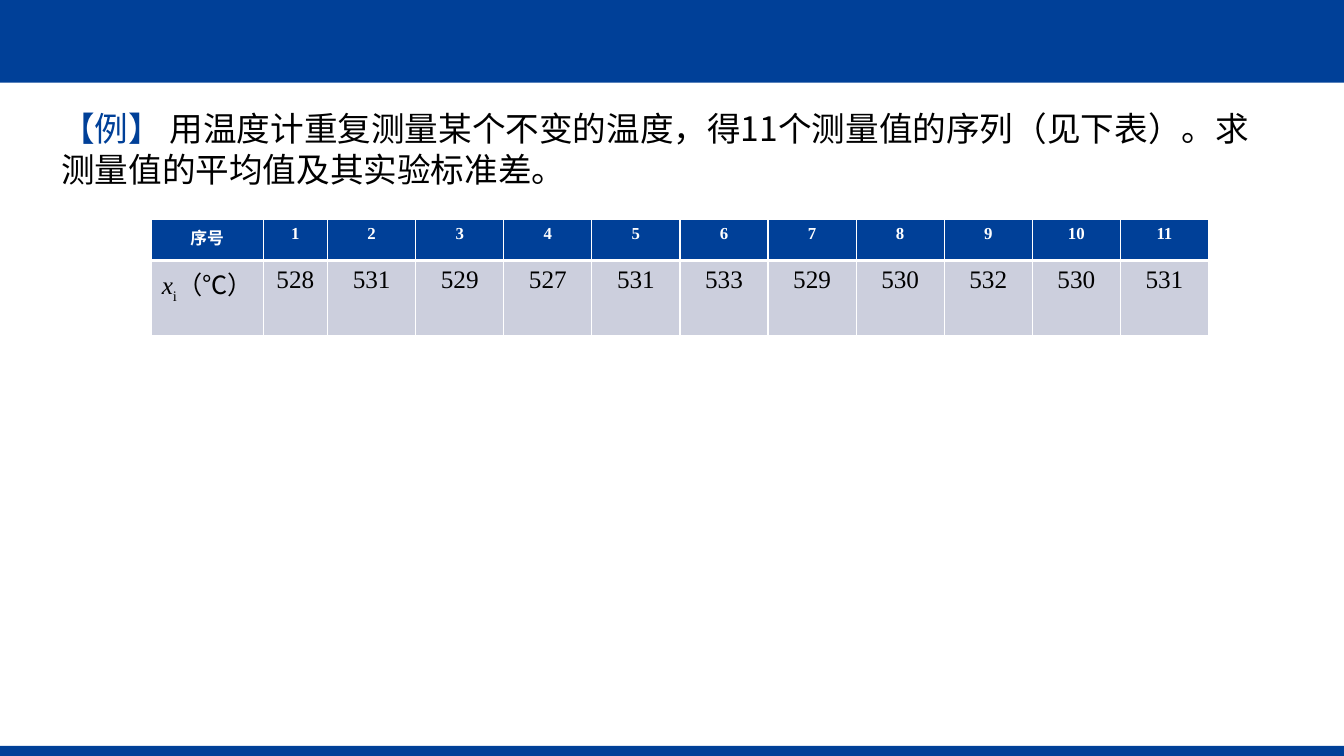
from pptx import Presentation, util as u
from pptx.dml.color import RGBColor
from pptx.enum import shapes, text
from pptx.oxml.ns import qn
from lxml import etree

HUES = {"blue": "004098", "ink": "000000", "white": "FFFFFF", "pale": "CCCFDD"}
WIDE, HIGH = 13.33, 7.5
SANS, SERIF = "Noto Sans CJK SC", "Times New Roman"


class Deck:
    def __init__(self):
        self.prs = Presentation()
        self.prs.slide_width, self.prs.slide_height = u.Inches(WIDE), u.Inches(HIGH)
        self.page = self.prs.slides.add_slide(self.prs.slide_layouts[6])

    def hue(self, name):
        return RGBColor.from_string(HUES[name])

    def box(self, left, top, wide, high):
        """Turn shares of the slide into lengths."""
        return [u.Inches(s * d) for s, d in
                zip((left, top, wide, high), (WIDE, HIGH, WIDE, HIGH))]

    def bar(self, top, high):
        bar = self.page.shapes.add_shape(
            shapes.MSO_SHAPE.RECTANGLE, *self.box(0, top, 1, high))
        bar.shadow.inherit = False
        bar.fill.solid()
        bar.fill.fore_color.rgb = self.hue("blue")
        bar.line.fill.background()

    def run(self, para, words, hue, face, base=None, **form):
        run = para.add_run()
        run.text = words
        run.font.color.rgb = self.hue(hue)
        for key, val in {"name": face, **form}.items():
            setattr(run.font, key, val)
        props = run.font._element
        etree.SubElement(props, qn("a:ea")).set("typeface", SANS)
        if base:
            props.set("baseline", str(base))

    def note(self, place, parts, size, pitch):
        frame = self.page.shapes.add_textbox(*self.box(*place)).text_frame
        frame.word_wrap = True
        para = frame.paragraphs[0]
        para.line_spacing = u.Pt(pitch)
        for words, hue in parts:
            self.run(para, words, hue, SANS, size=u.Pt(size))

    def edge(self, cell, sides):
        props = cell._tc.get_or_add_tcPr()
        for spot, (side, width) in enumerate(sides.items()):
            line = etree.Element(qn("a:ln" + side), w=str(u.Pt(width)))
            fill = etree.SubElement(line, qn("a:solidFill"))
            etree.SubElement(fill, qn("a:srgbClr"), val=HUES["white"])
            props.insert(spot, line)

    def table(self, place, cols, rows, forms):
        grid = self.page.shapes.add_table(
            len(rows), len(cols), *self.box(*place)).table
        for col, wide in zip(grid.columns, cols):
            col.width = u.Inches(wide)
        for r, (row, form) in enumerate(zip(rows, forms)):
            for c, parts in enumerate(row):
                cell = grid.cell(r, c)
                cell.fill.solid()
                cell.fill.fore_color.rgb = self.hue(form["fill"])
                self.edge(cell, form["edge"])
                para = cell.text_frame.paragraphs[0]
                para.alignment = text.PP_ALIGN.CENTER
                for words, extra in parts:
                    self.run(para, words, form["hue"], SERIF,
                             **{**form["font"], **extra})


def main():
    deck = Deck()

    # Top and bottom bands
    deck.bar(0, 0.82 / HIGH)
    deck.bar(7.4 / HIGH, 0.1 / HIGH)

    # Problem statement
    deck.note((0.51 / WIDE, 1.02 / HIGH, 12.06 / WIDE, 0.91 / HIGH), [
        ("【例】 ", "blue"),
        ("用温度计重复测量某个不变的温度，得11个测量值的序列（见下表）。"
         "求测量值的平均值及其实验标准差。", "ink")], 24, 29.2)

    # Measured values
    temps = [528, 531, 529, 527, 531, 533, 529, 530, 532, 530, 531]
    head = [[("序号", {})]] + [[(str(n + 1), {})] for n in range(len(temps))]
    body = [[("x", {"italic": True}), ("i", {"base": -25000}), ("（℃）", {})]]
    body += [[(str(t), {})] for t in temps]
    thin = dict.fromkeys("LRTB", 1)
    forms = [
        {"fill": "blue", "hue": "white", "edge": {**thin, "B": 3},
         "font": {"size": u.Pt(12), "bold": True}},
        {"fill": "pale", "hue": "ink", "edge": {**thin, "T": 3},
         "font": {"size": u.Pt(18), "bold": False}}]
    deck.table((1.5 / WIDE, 2.18 / HIGH, 10.49 / WIDE, 0.81 / HIGH),
               [1.11, 0.64] + [0.874] * 10, [head, body], forms)

    deck.prs.save("out.pptx")


if __name__ == "__main__":
    main()
